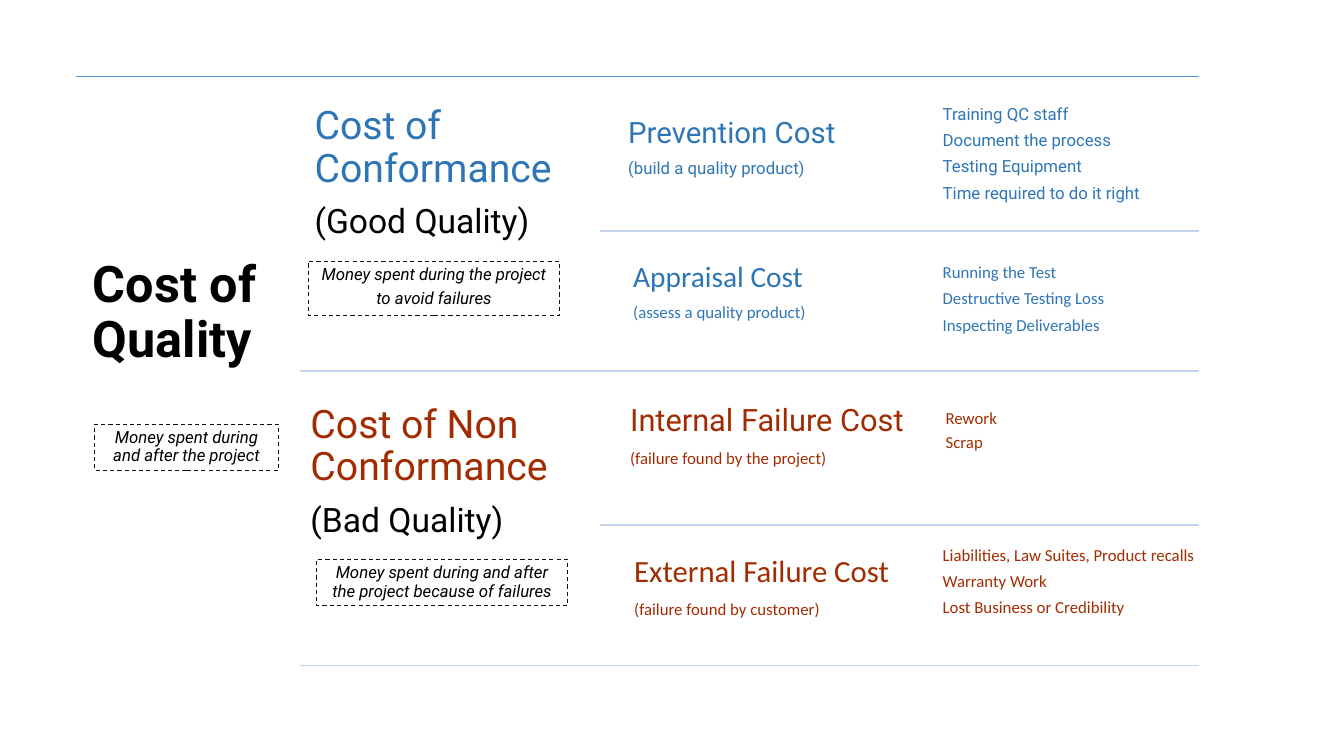
from pptx import Presentation
from pptx.dml.color import RGBColor
from pptx.enum.dml import MSO_LINE
from pptx.enum.shapes import MSO_CONNECTOR, MSO_SHAPE
from pptx.enum.text import MSO_ANCHOR, PP_ALIGN
from pptx.oxml.ns import qn
from pptx.util import Inches, Pt
from lxml import etree

BLACK = RGBColor(0x00, 0x00, 0x00)
BORDER = RGBColor(0x0D, 0x0D, 0x0D)
BLUE = RGBColor(0x2E, 0x75, 0xB6)
RED = RGBColor(0xA2, 0x2C, 0x01)
TOP_RULE = RGBColor(0x5B, 0x9B, 0xD5)
PALE_RULE = RGBColor(0xC4, 0xD5, 0xEB)

STRAIGHT = MSO_CONNECTOR.STRAIGHT
RECTANGLE = MSO_SHAPE.RECTANGLE
DASH = MSO_LINE.DASH
TOP, MIDDLE = MSO_ANCHOR.TOP, MSO_ANCHOR.MIDDLE
LEFT, CENTER = PP_ALIGN.LEFT, PP_ALIGN.CENTER

ROBOTO, CALIBRI = "Roboto", "Calibri"
SPACE_SHARE = 0.36
TIGHT = 0.9

TITLE_X, CATEGORY_X, COST_X, EXAMPLE_X, RIGHT_X = 0.75, 2.98, 5.95, 9.3, 11.89
TOP_Y, BAND, SUB_BAND = 0.76, 2.92, 1.53
ROWS = [TOP_Y + BAND * band + SUB_BAND * half for band in range(2) for half in range(2)]
BOTTOM_Y = TOP_Y + 2 * BAND
TEXT_WIDTH = 2.8

CATEGORIES = [
    (0, 0.01, 0.16, "Cost of Conformance", "(Good Quality)", BLUE),
    (2, -0.03, 0.2, "Cost of Non Conformance", "(Bad Quality)", RED),
]
COSTS = [
    (0, 0.19, 0.32, "Prevention Cost", "(build a quality product)", 21, ROBOTO, ROBOTO, BLUE),
    (1, 0.24, 0.22, "Appraisal Cost", "(assess a quality product)", 21, CALIBRI, CALIBRI, BLUE),
    (2, 0.21, 0.25, "Internal Failure Cost", "(failure found by the project)", 22, ROBOTO, CALIBRI, RED),
    (3, 0.25, 0.22, "External Failure Cost", "(failure found by customer)", 22, CALIBRI, CALIBRI, RED),
]
EXAMPLES = [
    (0, 0, 0.22, ROBOTO, BLUE, 1, ["Training QC staff", "Document the process",
                                   "Testing Equipment", "Time required to do it right"]),
    (1, 0, 0.26, CALIBRI, BLUE, 1, ["Running the Test", "Destructive Testing Loss",
                                    "Inspecting Deliverables"]),
    (2, 0.03, 0.34, CALIBRI, RED, TIGHT, ["Rework", "Scrap"]),
    (3, 0, 0.14, CALIBRI, RED, 1, ["Liabilities, Law Suites, Product recalls", "Warranty Work",
                                   "Lost Business or Credibility"]),
]
NOTES = [
    (0.94, 4.21, 1.82, 0.46, ["Money spent during and after the project"]),
    (3.06, 2.59, 2.49, 0.54, ["Money spent during the project", "to avoid failures"]),
    (3.14, 5.55, 2.49, 0.46, ["Money spent during and after the project because of failures"]),
]


def fill_text(shape, lines, inset=None, spacing=TIGHT, alignment=LEFT, anchor=TOP,
              bold=False, italic=False):
    frame = shape.text_frame
    frame.word_wrap = True
    frame.vertical_anchor = anchor
    if inset is not None:
        frame.margin_left = frame.margin_right = Inches(inset)
        frame.margin_top = frame.margin_bottom = Inches(inset)
    for index, (text, size, font, color) in enumerate(lines):
        paragraph = frame.add_paragraph() if index else frame.paragraphs[0]
        paragraph.alignment = alignment
        paragraph.line_spacing = spacing
        paragraph.space_before = Pt(0)
        paragraph.space_after = Pt(round(size * SPACE_SHARE, 1))
        run = paragraph.add_run()
        run.text = text
        run.font.name = font
        run.font.size = Pt(size)
        run.font.bold = bold
        run.font.italic = italic
        run.font.color.rgb = color


def add_text(slide, left, top, height, lines, inset, spacing=TIGHT, width=TEXT_WIDTH):
    box = slide.shapes.add_textbox(Inches(left), Inches(top), Inches(width), Inches(height))
    fill_text(box, lines, inset, spacing)


def add_note(slide, left, top, width, height, texts):
    shape = slide.shapes.add_shape(RECTANGLE, Inches(left), Inches(top), Inches(width), Inches(height))
    shape.shadow.inherit = False
    shape.fill.background()
    shape.line.color.rgb = BORDER
    shape.line.width = Pt(0.75)
    shape.line.dash_style = DASH
    lines = [(text, 12, ROBOTO, BLACK) for text in texts]
    fill_text(shape, lines, alignment=CENTER, italic=True)


def add_rule(slide, left, y, color):
    rule = slide.shapes.add_connector(STRAIGHT, Inches(left), Inches(y), Inches(RIGHT_X), Inches(y))
    rule.line.color.rgb = color
    rule.line.width = Pt(1)
    etree.SubElement(rule.element.spPr, qn("a:effectLst"))


def add_title(slide):
    title = slide.shapes.title
    title.left, title.top = Inches(TITLE_X), Inches(2.4)
    title.width, title.height = Inches(CATEGORY_X - TITLE_X), Inches(1.42)
    fill_text(title, [("Cost of Quality", 36, ROBOTO, BLACK)], 0.17, anchor=MIDDLE, bold=True)


def main():
    presentation = Presentation()
    presentation.slide_width, presentation.slide_height = Inches(13.33), Inches(7.5)
    slide = presentation.slides.add_slide(presentation.slide_layouts[5])
    add_title(slide)

    add_rule(slide, TITLE_X, TOP_Y, TOP_RULE)
    for left, y in zip((COST_X, CATEGORY_X) * 2, ROWS[1:] + [BOTTOM_Y]):
        add_rule(slide, left, y, PALE_RULE)

    for row, shift, drop, heading, quality, color in CATEGORIES:
        lines = [(heading, 28, ROBOTO, color), (quality, 24, ROBOTO, BLACK)]
        add_text(slide, CATEGORY_X + shift, ROWS[row] + drop, 1.8, lines, 0.13)
    for row, shift, drop, heading, detail, size, font, detail_font, color in COSTS:
        lines = [(heading, size, font, color), (detail, 12, detail_font, color)]
        add_text(slide, COST_X + shift, ROWS[row] + drop, 1, lines, 0.09, width=2.95)
    for row, shift, drop, font, color, spacing, texts in EXAMPLES:
        lines = [(text, 12, font, color) for text in texts]
        add_text(slide, EXAMPLE_X + shift, ROWS[row] + drop, 0.1 + 0.27 * len(texts),
                 lines, 0.05, spacing)
    for note in NOTES:
        add_note(slide, *note)

    presentation.save("out.pptx")


if __name__ == "__main__":
    main()
